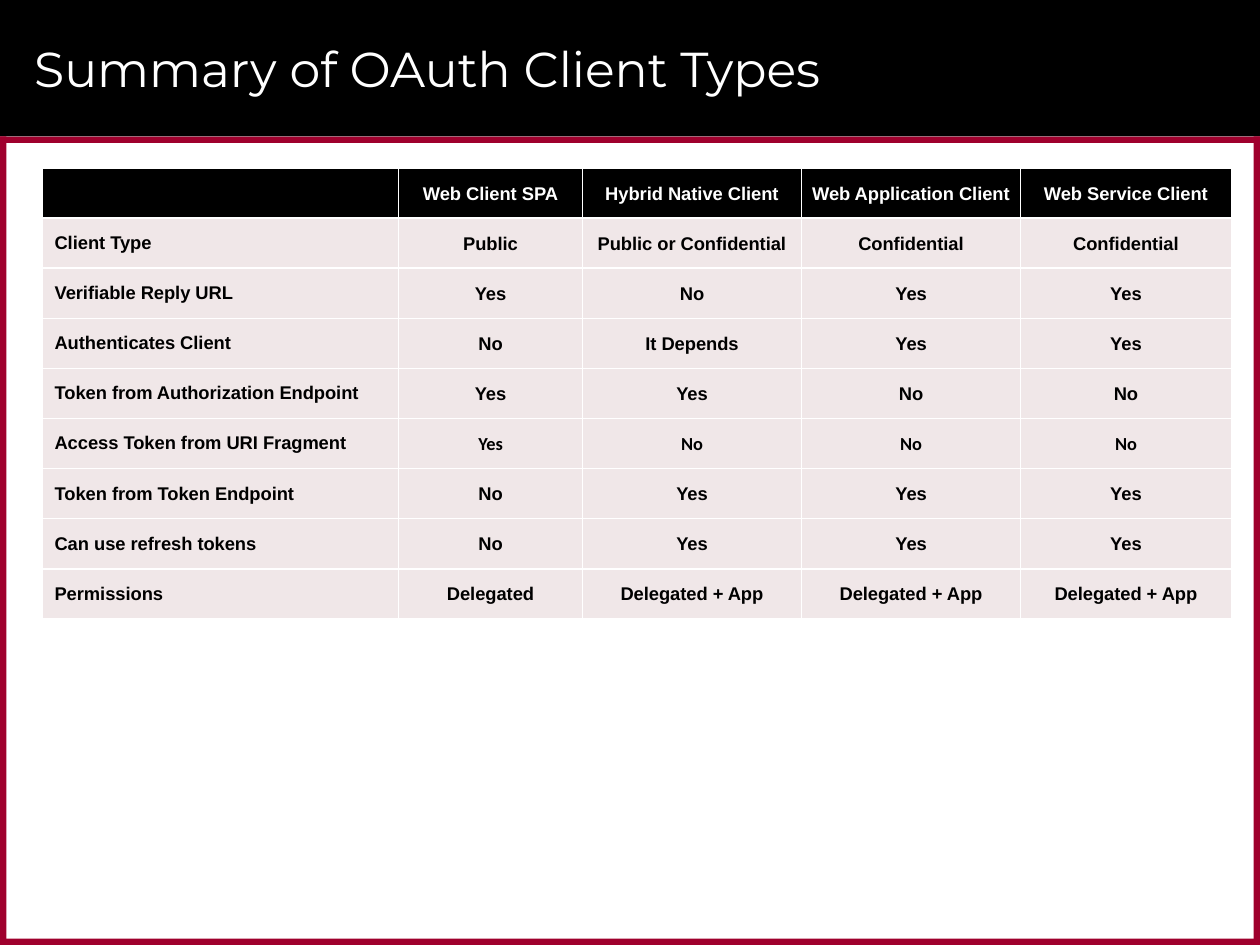
"""Build a slide that compares the OAuth client types in a table."""
import pptx
import pptx.dml.color
import pptx.enum.shapes
import pptx.enum.text
import pptx.oxml
import pptx.oxml.ns
import pptx.util

Pt = pptx.util.Pt
ANCHOR = pptx.enum.text.MSO_ANCHOR
ALIGN = pptx.enum.text.PP_ALIGN
BLACK, WHITE, CRIMSON, BLUSH = "000000", "FFFFFF", "9F002D", "F0E7E8"


def color(value):
    return pptx.dml.color.RGBColor.from_string(value)


def style_text(para, font, size, hue, bold):
    for span in para.runs:
        span.font.name = font
        span.font.size = Pt(size)
        span.font.bold = bold
        span.font.color.rgb = color(hue)


deck = pptx.Presentation()
deck.slide_width, deck.slide_height = Pt(720), Pt(540)
page = deck.slides.add_slide(deck.slide_layouts[6])

bands = [
    (0, 0, 720, 78, BLACK),
    (0, 78, 720, 3.6, CRIMSON),
    (0, 536.4, 720, 3.6, CRIMSON),
    (716.4, 78, 3.6, 462, CRIMSON),
    (0, 78, 3.6, 462, CRIMSON),
]
for left, top, width, height, hue in bands:
    band = page.shapes.add_shape(
        pptx.enum.shapes.MSO_SHAPE.RECTANGLE, Pt(left), Pt(top), Pt(width), Pt(height)
    )
    band.shadow.inherit = False
    band.fill.solid()
    band.fill.fore_color.rgb = color(hue)
    band.line.fill.background()

title = page.shapes.add_textbox(Pt(12.5), Pt(6), Pt(678), Pt(66))
title.text_frame.word_wrap = True
title.text_frame.vertical_anchor = ANCHOR.MIDDLE
title.text_frame.text = "Summary of OAuth Client Types"
style_text(title.text_frame.paragraphs[0], "Montserrat", 28, WHITE, False)

rows = [
    ("", "Web Client SPA", "Hybrid Native Client", "Web Application Client", "Web Service Client"),
    ("Client Type", "Public", "Public or Confidential", "Confidential", "Confidential"),
    ("Verifiable Reply URL", "Yes", "No", "Yes", "Yes"),
    ("Authenticates Client", "No", "It Depends", "Yes", "Yes"),
    ("Token from Authorization Endpoint", "Yes", "Yes", "No", "No"),
    ("Access Token from URI Fragment", "Yes", "No", "No", "No"),
    ("Token from Token Endpoint", "No", "Yes", "Yes", "Yes"),
    ("Can use refresh tokens", "No", "Yes", "Yes", "Yes"),
    ("Permissions", "Delegated", "Delegated + App", "Delegated + App", "Delegated + App"),
]
widths = [203.8, 105.1, 125.2, 125.2, 120.4]
row_height = 28.65
calibri_row = 5

table = page.shapes.add_table(
    len(rows), len(widths), Pt(24), Pt(96), Pt(sum(widths)), Pt(row_height * len(rows))
).table
for column, width in zip(table.columns, widths):
    column.width = Pt(width)

for r, labels in enumerate(rows):
    table.rows[r].height = Pt(row_height)
    for c, label in enumerate(labels):
        cell = table.cell(r, c)
        is_header, is_label = r == 0, c == 0
        cell.vertical_anchor = ANCHOR.MIDDLE
        side, top, bottom = (7.2, 3.6, 3.6) if is_label else (0.7, 0.7, 0)
        cell.margin_left = cell.margin_right = Pt(side)
        cell.margin_top, cell.margin_bottom = Pt(top), Pt(bottom)
        cell.text_frame.text = label
        para = cell.text_frame.paragraphs[0]
        para.alignment = ALIGN.LEFT if is_label else ALIGN.CENTER
        para.font.size = Pt(10.5)
        font = "Calibri" if r == calibri_row and not is_label else "Arial"
        style_text(para, font, 10.5, WHITE if is_header else BLACK, True)
        properties = cell._tc.get_or_add_tcPr()
        for edge in ("lnL", "lnR", "lnT", "lnB"):
            properties.append(pptx.oxml.parse_xml(
                f'<a:{edge} {pptx.oxml.ns.nsdecls("a")} w="{Pt(1)}"><a:solidFill>'
                f'<a:srgbClr val="{WHITE}"/></a:solidFill></a:{edge}>'
            ))
        cell.fill.solid()
        cell.fill.fore_color.rgb = color(BLACK if is_header else BLUSH)

deck.save("out.pptx")
